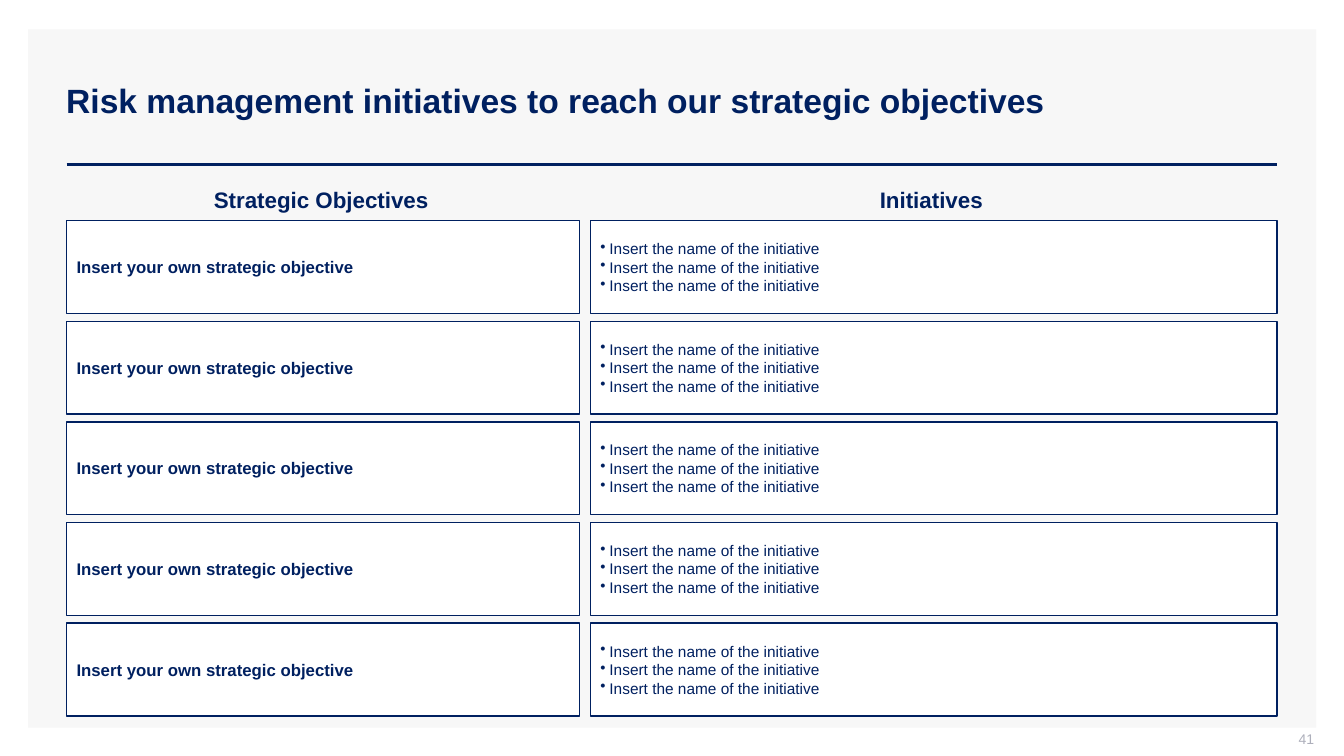
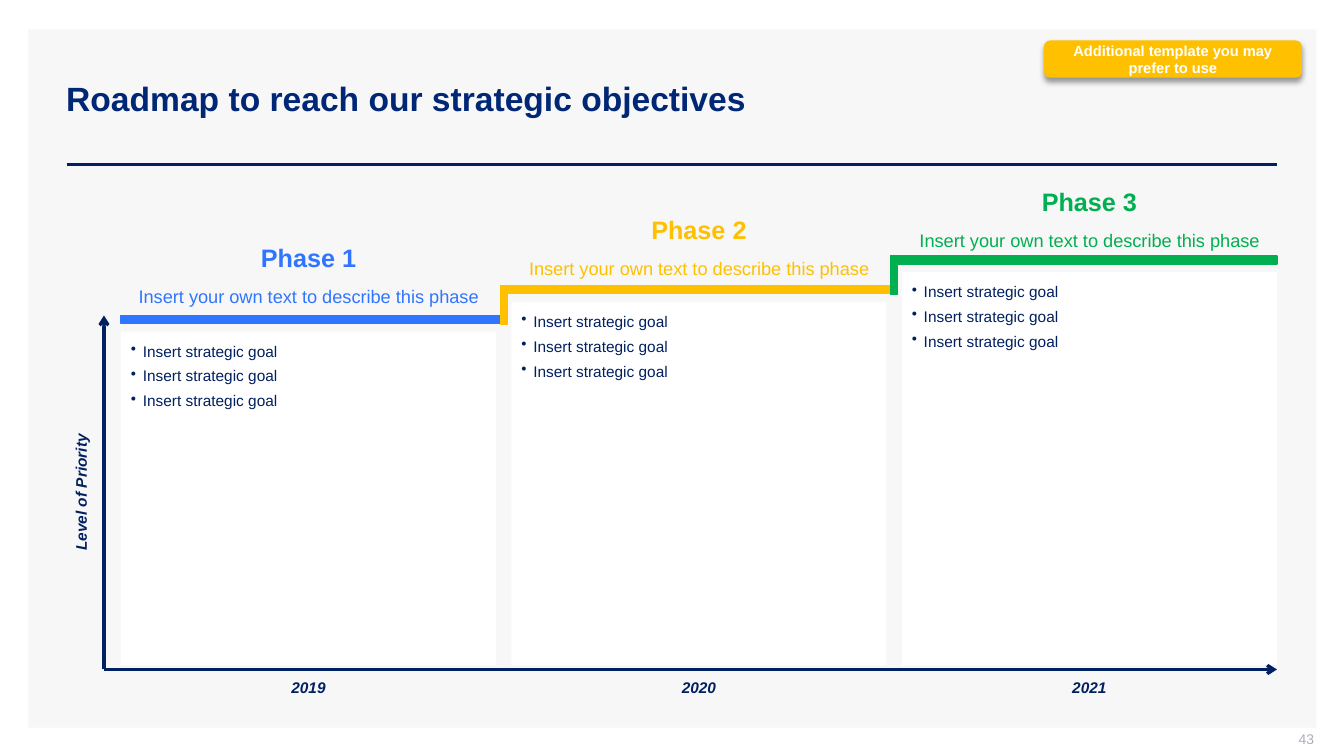
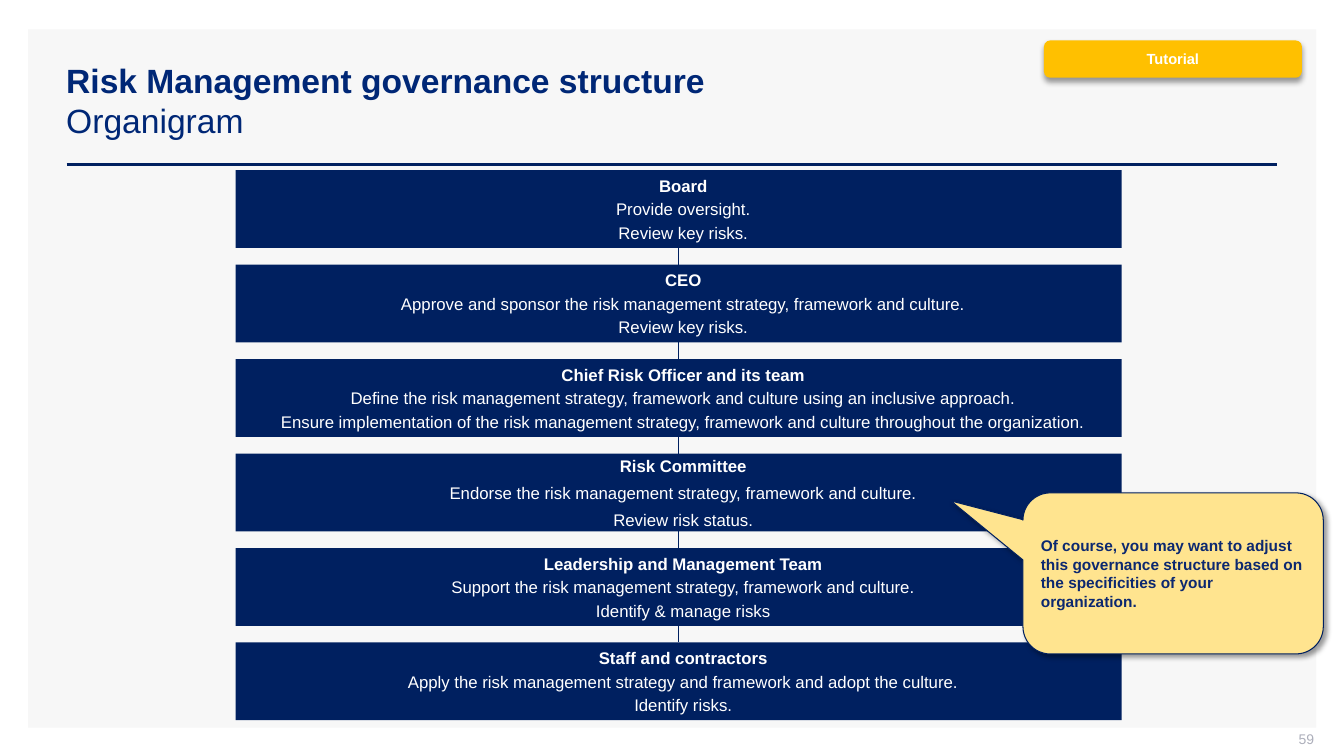
from lxml import etree
from pptx import Presentation
from pptx.dml.color import RGBColor
from pptx.enum.shapes import MSO_CONNECTOR, MSO_SHAPE
from pptx.enum.text import MSO_ANCHOR, PP_ALIGN
from pptx.oxml.ns import qn
from pptx.util import Cm, Pt

RECTANGLE = MSO_SHAPE.RECTANGLE
ROUNDED = MSO_SHAPE.ROUNDED_RECTANGLE
CALLOUT = MSO_SHAPE.ROUNDED_RECTANGULAR_CALLOUT
STRAIGHT = MSO_CONNECTOR.STRAIGHT
TOP, MIDDLE, BOTTOM = MSO_ANCHOR.TOP, MSO_ANCHOR.MIDDLE, MSO_ANCHOR.BOTTOM
LEFT, CENTER, RIGHT = PP_ALIGN.LEFT, PP_ALIGN.CENTER, PP_ALIGN.RIGHT

FONT = "Arial"
COLORS = {
    "navy": "002060", "title": "002776", "note": "0C2870", "panel": "F7F7F7",
    "white": "FFFFFF", "grey": "ADAFBB", "blue": "3075FF", "amber": "FFC000",
    "green": "00B050", "cream": "FFE48F", "black": "000000",
}
COLORS = {name: RGBColor.from_string(value) for name, value in COLORS.items()}
CONTENT_LEFT, CONTENT_RIGHT = 1.68, 32.18


def add_box(page, frame, lines=(), kind=RECTANGLE, fill=None, line=None, weight=1,
            color="navy", font=None, align=LEFT, anchor=MIDDLE, spacing=None,
            margins=(0.25, 0.13, 0.25, 0.13), bullet_indent=0, shadow_angle=None):
    """Add a shape with text; each line is a string or a (string, font values) pair."""
    box = page.shapes.add_shape(kind, *map(Cm, frame))
    box.shadow.inherit = False
    if shadow_angle is not None:
        effects = box.element.spPr.find(qn("a:effectLst"))
        shadow = etree.SubElement(effects, qn("a:outerShdw"), blurRad=str(Pt(4)),
                                  dist=str(Pt(3)), dir=str(shadow_angle * 60000),
                                  algn="t", rotWithShape="0")
        tint = etree.SubElement(shadow, qn("a:srgbClr"), val=str(COLORS["black"]))
        etree.SubElement(tint, qn("a:alpha"), val="40000")
    if fill:
        box.fill.solid()
        box.fill.fore_color.rgb = COLORS[fill]
    else:
        box.fill.background()
    if line:
        box.line.color.rgb = COLORS[line]
        box.line.width = Pt(weight)
    else:
        box.line.fill.background()

    text_frame = box.text_frame
    text_frame.word_wrap = True
    text_frame.vertical_anchor = anchor
    for side, margin in zip(("left", "top", "right", "bottom"), margins):
        setattr(text_frame, f"margin_{side}", Cm(margin))
    for index, entry in enumerate(lines):
        text, own_font = entry if isinstance(entry, tuple) else (entry, {})
        para = text_frame.paragraphs[0] if index == 0 else text_frame.add_paragraph()
        para.alignment = align
        if bullet_indent:
            properties = para._p.get_or_add_pPr()
            properties.set("marL", str(Cm(bullet_indent)))
            properties.set("indent", str(-Cm(bullet_indent)))
            etree.SubElement(properties, qn("a:buChar"), char="•")
        for name, value in (spacing or {}).items():
            if index or name != "space_before":
                setattr(para, name, value)
        span = para.add_run()
        span.text = text
        span.font.color.rgb = COLORS[color]
        for name, value in {"name": FONT, **(font or {}), **own_font}.items():
            setattr(span.font, name, value)
    return box


def add_line(page, start, end, weight, arrow=False):
    connector = page.shapes.add_connector(STRAIGHT, *map(Cm, start + end))
    connector.line.color.rgb = COLORS["navy"]
    connector.line.width = Pt(weight)
    properties = connector.element.spPr
    if arrow:
        etree.SubElement(properties.find(qn("a:ln")), qn("a:tailEnd"), type="arrow")
    etree.SubElement(properties, qn("a:effectLst"))
    return connector


deck = Presentation()
deck.slide_width, deck.slide_height = Cm(33.87), Cm(19.05)

# Shared frame: panel, title, rule, page number and optional badge
headings = [
    ("41", "navy", ["Risk management initiatives to reach our strategic objectives"], {}, None),
    ("43", "title", ["Roadmap to reach our strategic objectives"], {"line_spacing": 0.9},
     "Additional template you may prefer to use"),
    ("59", "title", ["Risk Management governance structure", ("Organigram", {"bold": False})],
     {}, "Tutorial"),
]
pages = []
for number, color, title, spacing, badge in headings:
    page = deck.slides.add_slide(deck.slide_layouts[6])
    add_box(page, (0.71, 0.74, 32.46, 17.6), fill="panel")
    add_line(page, (CONTENT_LEFT, 4.14), (CONTENT_RIGHT, 4.14), 2)
    add_box(page, (1.42, 1.02, 30.76, 3.02), title, color=color, spacing=spacing,
            font={"size": Pt(24), "bold": True})
    add_box(page, (25.5, 18.42, 7.62, 0.53), [number], color="grey", align=RIGHT,
            font={"size": Pt(10)}, margins=(0.25, 0, 0, 0.13))
    if badge:
        add_box(page, (26.31, 1.02, 6.5, 0.94), [badge], kind=ROUNDED, fill="amber",
                color="white", align=CENTER, shadow_angle=90,
                font={"size": Pt(10.5), "bold": True})
    pages.append(page)
initiatives_page, roadmap_page, governance_page = pages

# Initiatives for each strategic objective
for text, left, width in [("Strategic Objectives", 4.88, 6.43), ("Initiatives", 20.88, 5.18)]:
    add_box(initiatives_page, (left, 4.57, width, 0.94), [text], align=CENTER,
            font={"size": Pt(16), "bold": True}, margins=(0, 0.13, 0, 0.13))
for row in range(5):
    top = 5.56 + 2.535 * row
    add_box(initiatives_page, (CONTENT_LEFT, top, 12.93, 2.34),
            ["Insert your own strategic objective"], fill="white", line="navy",
            font={"size": Pt(12), "bold": True})
    add_box(initiatives_page, (14.88, top, 17.3, 2.34),
            ["Insert the name of the initiative"] * 3, fill="white", line="navy",
            font={"size": Pt(11)}, bullet_indent=0.23)

# Roadmap: three rising phases
axis_font = {"size": Pt(11), "bold": True, "italic": True}
step_edges = [3.05, 12.7, 22.53, CONTENT_RIGHT]
rise = 0.75
card_width, card_bottom = 9.45, 16.76
for step, (year, color) in enumerate([("2019", "blue"), ("2020", "amber"), ("2021", "green")]):
    card_left = 3.05 + 9.84 * step
    card_top = 8.36 - rise * step
    bar_left, bar_top = step_edges[step], 7.95 - rise * step
    add_box(roadmap_page, (card_left, card_top, card_width, card_bottom - card_top),
            ["Insert strategic goal"] * 3, fill="white", font={"size": Pt(11)}, anchor=TOP,
            spacing={"space_before": Pt(2.3), "space_after": Pt(2.3)},
            margins=(0.25, 0.25, 0.25, 0.25), bullet_indent=0.3)
    add_box(roadmap_page, (card_left + 0.41, 6.1 - 0.71 * step, 8.63, 1.65),
            [(f"Phase {step + 1}", {"size": Pt(18), "bold": True}),
             "Insert your own text to describe this phase"],
            color=color, font={"size": Pt(13)}, align=CENTER, anchor=BOTTOM,
            spacing={"space_before": Pt(9)}, margins=(0, 0, 0, 0))
    add_box(roadmap_page, (bar_left, bar_top, step_edges[step + 1] - bar_left, 0.2),
            fill=color, line=color)
    if step:
        add_box(roadmap_page, (bar_left - 0.09, bar_top, 0.18, 0.97), fill=color, line=color)
    add_box(roadmap_page, (card_left, 16.97, card_width, 0.79), [year], font=axis_font,
            align=CENTER, anchor=TOP)
origin = (2.62, 16.87)
for axis_end in [(2.62, 7.95), (CONTENT_RIGHT, 16.87)]:
    add_line(roadmap_page, origin, axis_end, 2.25, arrow=True)
priority_label = add_box(roadmap_page, (0.18, 12.04, 3.73, 0.74), ["Level of Priority"],
                         font=axis_font, align=CENTER, anchor=TOP)
priority_label.rotation = 270

# Governance organigram
after_committee = {"space_after": Pt(2.4)}
levels = [
    ("Board", "Provide oversight.", "Review key risks.", {}),
    ("CEO", "Approve and sponsor the risk management strategy, framework and culture.",
     "Review key risks.", {}),
    ("Chief Risk Officer and its team",
     "Define the risk management strategy, framework and culture using an inclusive approach.",
     "Ensure implementation of the risk management strategy, framework and culture "
     "throughout the organization.", {}),
    ("Risk Committee", "Endorse the risk management strategy, framework and culture.",
     "Review risk status.", after_committee),
    ("Leadership and Management Team",
     "Support the risk management strategy, framework and culture.",
     "Identify & manage risks", {}),
    ("Staff and contractors",
     "Apply the risk management strategy and framework and adopt the culture.",
     "Identify risks.", {}),
]
previous = None
for row, (role, first_duty, second_duty, extra_spacing) in enumerate(levels):
    top = 4.29 + 2.38 * row
    level = add_box(governance_page, (5.94, top, 22.33, 1.96),
                    [(role, {"bold": True}), first_duty, second_duty], fill="navy",
                    color="white", font={"size": Pt(12)}, align=CENTER,
                    spacing={"space_before": Pt(2.4), **extra_spacing},
                    margins=(0.33, 0.13, 0.1, 0.13))
    if previous:
        link = add_line(governance_page, (17.1, top - 0.42), (17.1, top), 0.5)
        link.begin_connect(previous, 2)
        link.end_connect(level, 0)
    previous = level
callout = add_box(governance_page, (25.78, 12.42, 7.57, 4.06),
                  ["Of course, you may want to adjust this governance structure based on "
                   "the specificities of your organization."],
                  kind=CALLOUT, fill="cream", line="navy", weight=0.75, color="note",
                  font={"size": Pt(11), "bold": True}, shadow_angle=45)
for index, value in enumerate((-0.74, -0.45, 0.17)):
    callout.adjustments[index] = value

deck.save("out.pptx")
